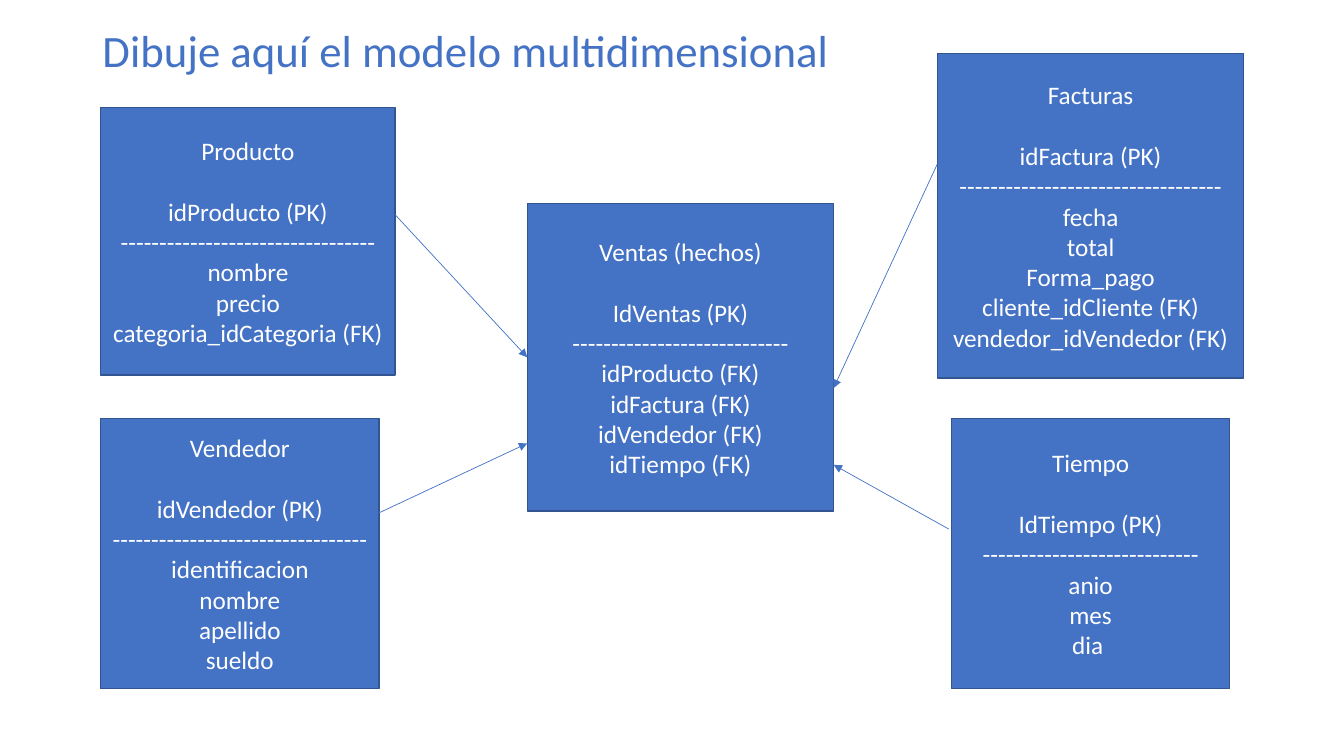
from dataclasses import dataclass

from lxml.etree import SubElement
from pptx import Presentation
from pptx.dml.color import RGBColor
from pptx.enum.shapes import MSO_CONNECTOR, MSO_SHAPE
from pptx.enum.text import MSO_ANCHOR, MSO_AUTO_SIZE, PP_ALIGN
from pptx.oxml.ns import qn
from pptx.util import Pt


@dataclass(frozen=True)
class Theme:
    """Colours, font and type sizes."""
    accent: RGBColor = RGBColor(0x44, 0x72, 0xC4)
    outline: RGBColor = RGBColor(0x32, 0x54, 0x91)
    light: RGBColor = RGBColor(0xFF, 0xFF, 0xFF)
    font: str = "Calibri"
    title_size: int = 32
    body_size: int = 18
    name_gap: int = 22


@dataclass(frozen=True)
class Box:
    """A rectangle in points."""
    left: float
    top: float
    width: float
    height: float

    def lengths(self):
        """Return left, top, width and height as slide lengths."""
        return [Pt(value) for value in (self.left, self.top, self.width, self.height)]

    def point(self, across, down):
        """Return the position at the given fractions of the box."""
        return Pt(self.left + across * self.width), Pt(self.top + down * self.height)


@dataclass(frozen=True)
class Entity:
    """A table of the model: its place, key, rule length and other fields."""
    box: Box
    name: str
    key: str
    dashes: int
    fields: tuple


THEME = Theme()
TITLE_BOX = Box(66, 28.8, 828, 18)

FACT = Entity(Box(376.6, 145.4, 218.9, 219.6), "Ventas (hechos)", "IdVentas", 28,
              ("idProducto\u00a0(FK)", "idFactura\u00a0(FK)",
               "idVendedor\u00a0(FK)", "idTiempo\u00a0(FK)"))
PRODUCT = Entity(Box(72, 77, 210.2, 190.8), "Producto", "idProducto", 33,
                 ("nombre", "precio", "categoria_idCategoria\u00a0(FK)"))
SELLER = Entity(Box(72, 298.8, 198.7, 193), "Vendedor", "idVendedor", 33,
                ("identificacion", "nombre", "apellido", "sueldo"))
TIME = Entity(Box(679.7, 298.8, 198.7, 193), "Tiempo", "IdTiempo", 28,
              ("anio", "mes", "dia\u00a0"))
INVOICE = Entity(Box(669.6, 38.2, 218.9, 231.8), "Facturas", "idFactura", 34,
                 ("fecha", "total", "Forma_pago", "cliente_idCliente\u00a0(FK)",
                  "vendedor_idVendedor (FK)"))

# Dimension, its fractional exit point, and the fractional entry point on the fact table
LINKS = (
    (PRODUCT, (1, 0.4), (0, 0.5)),
    (SELLER, (1, 0.35), (0, 0.78)),
    (INVOICE, (0, 0.34), (1, 0.6)),
    (TIME, (-0.01, 0.41), (1, 0.85)),
)


def add_run(paragraph, text, size, color):
    """Append one formatted run to a paragraph."""
    run = paragraph.add_run()
    run.text = text
    run.font.name = THEME.font
    run.font.size = Pt(size)
    run.font.color.rgb = color


def add_title(slide, box, text):
    """Place and format the title placeholder."""
    title = slide.shapes.title
    title.left, title.top, title.width, title.height = box.lengths()
    frame = title.text_frame
    frame.auto_size = MSO_AUTO_SIZE.NONE
    frame.vertical_anchor = MSO_ANCHOR.MIDDLE
    paragraph = frame.paragraphs[0]
    paragraph.alignment = PP_ALIGN.LEFT
    paragraph.line_spacing = 0.9
    add_run(paragraph, text, THEME.title_size, THEME.accent)


def add_entity(slide, entity):
    """Draw one table with its name, primary key, rule and fields."""
    shape = slide.shapes.add_shape(MSO_SHAPE.RECTANGLE, *entity.box.lengths())
    shape.shadow.inherit = False
    shape.fill.solid()
    shape.fill.fore_color.rgb = THEME.accent
    shape.line.color.rgb = THEME.outline
    shape.line.width = Pt(1)
    frame = shape.text_frame
    frame.word_wrap = True
    frame.vertical_anchor = MSO_ANCHOR.MIDDLE
    frame.margin_left = frame.margin_right = Pt(4)
    lines = (entity.name, f"{entity.key}\u00a0(PK)", "-" * entity.dashes, *entity.fields)
    for index, line in enumerate(lines):
        paragraph = frame.add_paragraph() if index else frame.paragraphs[0]
        paragraph.alignment = PP_ALIGN.CENTER
        add_run(paragraph, line, THEME.body_size, THEME.light)
    frame.paragraphs[0].space_after = Pt(THEME.name_gap)


def add_arrow(slide, start, end):
    """Draw a thin arrow between two positions."""
    connector = slide.shapes.add_connector(MSO_CONNECTOR.STRAIGHT, *start, *end)
    connector.line.color.rgb = THEME.accent
    connector.line.width = Pt(0.5)
    properties = connector._element.spPr
    SubElement(properties.find(qn("a:ln")), qn("a:tailEnd"), type="triangle")
    SubElement(properties, qn("a:effectLst"))


def add_model(slide):
    """Draw the fact table, its dimensions and the arrows between them."""
    for entity in (PRODUCT, SELLER, FACT, TIME, INVOICE):
        add_entity(slide, entity)
    for dimension, leaving, arriving in LINKS:
        add_arrow(slide, dimension.box.point(*leaving), FACT.box.point(*arriving))


def main():
    """Build and save the presentation."""
    presentation = Presentation()
    presentation.slide_width = Pt(960)
    presentation.slide_height = Pt(540)
    slide = presentation.slides.add_slide(presentation.slide_layouts.get_by_name("Title Only"))
    add_title(slide, TITLE_BOX, "Dibuje aquí el modelo multidimensional")
    add_model(slide)
    presentation.save("out.pptx")


main()
